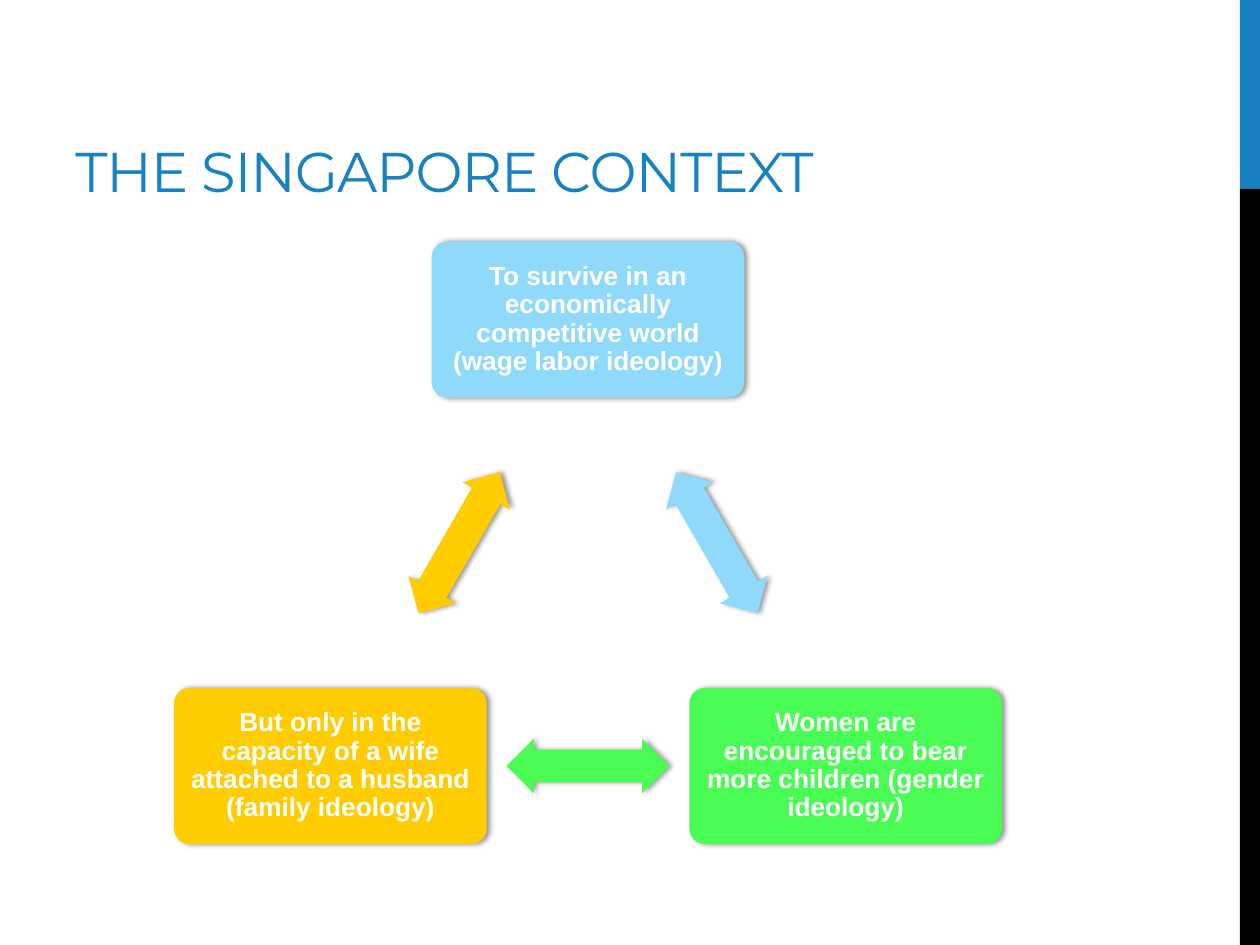
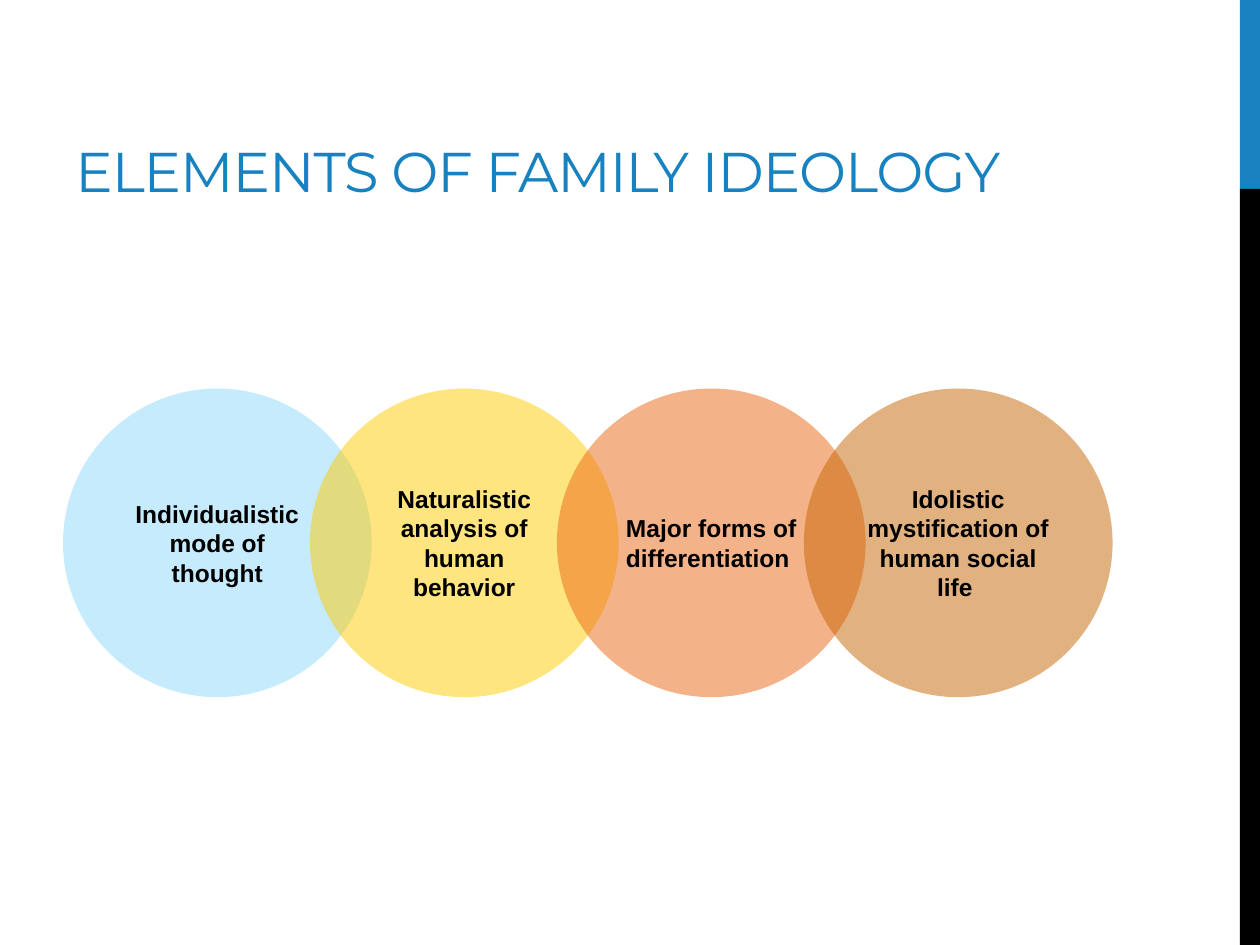
from lxml.etree import SubElement
from pptx import Presentation
from pptx.dml.color import RGBColor
from pptx.enum.shapes import MSO_SHAPE
from pptx.enum.text import MSO_ANCHOR, PP_ALIGN
from pptx.oxml.ns import qn
from pptx.util import Pt

COLORS = {
    "blue": "1782BF", "black": "000000", "white": "FFFFFF",
    "sky": "8FD9FB", "green": "49FC53", "gold": "FFCC00",
    "orange": "EB6615", "brown": "C76402",
}


class Deck:
    body = "Arial"
    head = "Montserrat"

    def __init__(self):
        self.file = Presentation()
        self.file.slide_width, self.file.slide_height = Pt(720), Pt(540)

    def page(self, title):
        self.slide = self.file.slides.add_slide(self.file.slide_layouts[6])
        self.shape(MSO_SHAPE.RECTANGLE, 708.5, 0, 11.5, 108, "blue")
        self.shape(MSO_SHAPE.RECTANGLE, 708.5, 108, 11.5, 432, "black")
        box = self.slide.shapes.add_textbox(Pt(36), Pt(12.2), Pt(665), Pt(108))
        box.text_frame.word_wrap = True
        box.text_frame.vertical_anchor = MSO_ANCHOR.BOTTOM
        run = self.run(box.text_frame.paragraphs[0], title, self.head, 32, "blue")
        run.font._element.set("spc", "-60")

    def run(self, para, text, face, size, color, bold=False):
        run = para.add_run()
        run.text = text
        run.font.name, run.font.size, run.font.bold = face, Pt(size), bold
        run.font.color.rgb = RGBColor.from_string(COLORS[color])
        return run

    def shape(self, kind, left, top, width, height, color):
        item = self.slide.shapes.add_shape(kind, Pt(left), Pt(top), Pt(width), Pt(height))
        item.shadow.inherit = False
        item.fill.solid()
        item.fill.fore_color.rgb = RGBColor.from_string(COLORS[color])
        item.line.fill.background()
        return item

    def label(self, item, text, size, color, side, edge):
        frame = item.text_frame
        frame.word_wrap = True
        frame.vertical_anchor = MSO_ANCHOR.MIDDLE
        frame.margin_left = frame.margin_right = Pt(side)
        frame.margin_top = frame.margin_bottom = Pt(edge)
        para = frame.paragraphs[0]
        para.alignment = PP_ALIGN.CENTER
        self.run(para, text, self.body, size, color, True)
        return para

    def shade(self, item):
        effects = item._element.spPr.find(qn("a:effectLst"))
        glow = SubElement(effects, qn("a:outerShdw"), blurRad=str(Pt(3.1)),
                          dist=str(Pt(1.8)), dir="0", rotWithShape="0")
        tint = SubElement(glow, qn("a:srgbClr"), val=COLORS["black"])
        SubElement(tint, qn("a:alpha"), val="40000")

    def card(self, x, y, text, color):
        wide, high = 178.6, 89.3
        item = self.shape(MSO_SHAPE.ROUNDED_RECTANGLE, x - wide / 2, y - high / 2,
                          wide, high, color)
        item.adjustments[0] = 0.1
        self.shade(item)
        self.label(item, text, 15, "white", 4.5, 4.5).line_spacing = 0.9

    def arrow(self, x, y, angle, color):
        wide, high = 93, 31.2
        item = self.shape(MSO_SHAPE.LEFT_RIGHT_ARROW, x - wide / 2, y - high / 2,
                          wide, high, color)
        item.adjustments[0], item.adjustments[1] = 0.6, 0.5
        item.rotation = angle
        self.shade(item)

    def circle(self, left, top, size, text, color):
        item = self.shape(MSO_SHAPE.OVAL, left, top, size, size, color)
        tint = item._element.spPr.find(qn("a:solidFill"))[0]
        SubElement(tint, qn("a:alpha"), val="50000")
        self.label(item, text, 14, "black", 9.4, 1.4)


deck = Deck()

deck.page("THE SINGAPORE CONTEXT")
cards = [
    (336, 182.6, "To survive in an economically competitive world (wage labor ideology)", "sky"),
    (483.2, 437.7, "Women are encouraged to bear more children (gender ideology)", "green"),
    (188.8, 437.7, "But only in the capacity of a wife attached to a husband (family ideology)", "gold"),
]
for i, (x, y, text, color) in enumerate(cards):
    after = cards[(i + 1) % len(cards)]
    deck.card(x, y, text, color)
    deck.arrow((x + after[0]) / 2, (y + after[1]) / 2, 60 + 120 * i, color)

deck.page("ELEMENTS OF FAMILY IDEOLOGY ")
size = 176.4
rings = [
    ("Individualistic mode of thought", "sky"),
    ("Naturalistic analysis of human behavior", "gold"),
    ("Major forms of differentiation ", "orange"),
    ("Idolistic mystification of human social life ", "brown"),
]
for i, (text, color) in enumerate(rings):
    deck.circle(36 + i * size * 0.8, 222, size, text, color)

deck.file.save("out.pptx")
